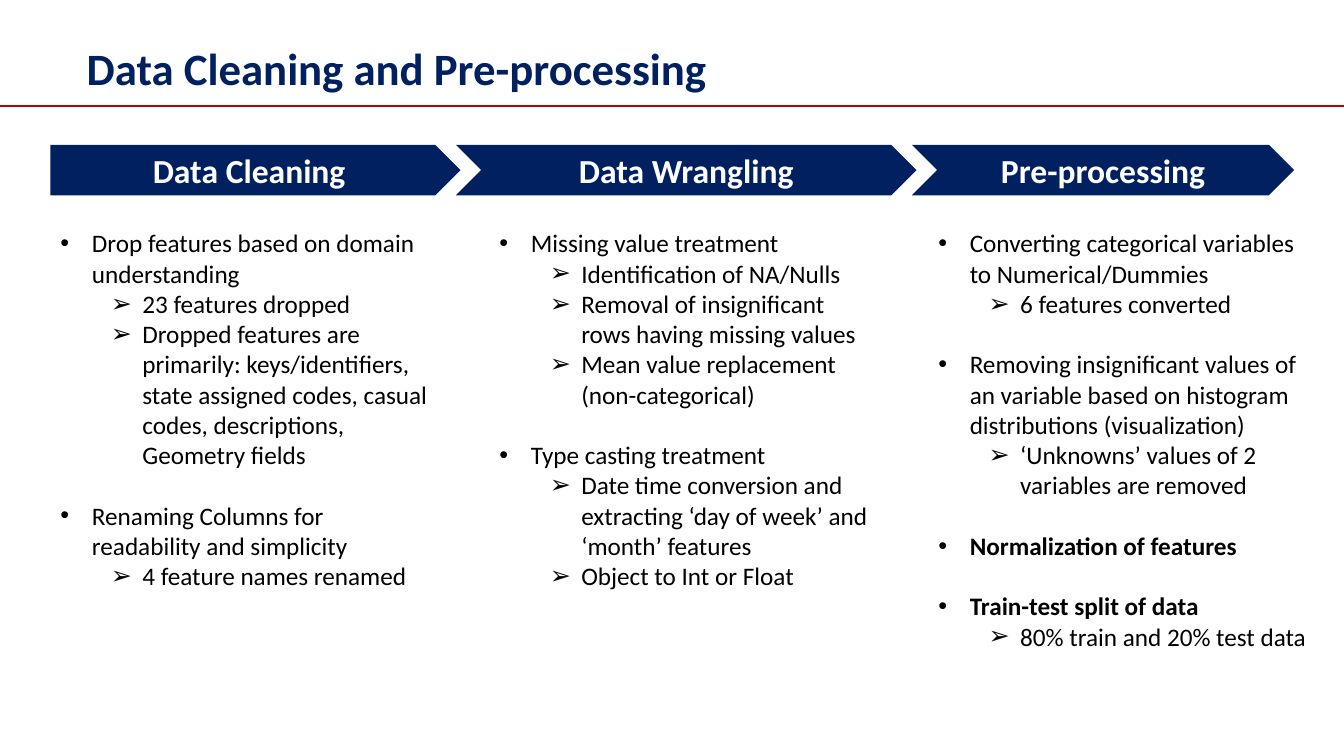
from dataclasses import dataclass

from lxml import etree
from pptx import Presentation
from pptx.dml.color import RGBColor
from pptx.enum.shapes import MSO_CONNECTOR, MSO_SHAPE
from pptx.enum.text import MSO_ANCHOR, MSO_AUTO_SIZE, PP_ALIGN
from pptx.oxml.ns import qn
from pptx.util import Pt


@dataclass(frozen=True)
class Theme:
    """Colours, font and type sizes of the slide."""
    navy: RGBColor = RGBColor(0x00, 0x20, 0x60)
    red: RGBColor = RGBColor(0xB9, 0x00, 0x07)
    white: RGBColor = RGBColor(0xFF, 0xFF, 0xFF)
    black: RGBColor = RGBColor(0x00, 0x00, 0x00)
    font: str = "Calibri"
    title: int = 32
    banner: int = 24
    body: int = 18


THEME = Theme()
SLIDE_WIDTH, SLIDE_HEIGHT = 960, 540
LEFT, LIST_TOP = 36, 159.1
COLUMN_PITCH, COLUMN_WIDTH = 313.5, 281.5
BANNER_TOP, BANNER_HEIGHT, BANNER_OVERLAP = 103.5, 36, 3.3
HANGING, LEVEL_STEP, TOPIC_GAP = 22.5, 36, 21.6
BULLETS = ("•", "➢")

# Each stage: name, banner shape, banner width, list height, placeholder index
# and topics. Each topic: heading, bold or not, and its details.
STAGES = [
    ("Data Cleaning", MSO_SHAPE.PENTAGON, 293, 269, 1, [
        ("Drop features based on domain understanding", False, [
            "23 features dropped",
            "Dropped features are primarily: keys/identifiers, state assigned "
            "codes, casual codes, descriptions, Geometry fields"]),
        ("Renaming Columns for readability and simplicity", False, [
            "4 feature names renamed"]),
    ]),
    ("Data Wrangling", MSO_SHAPE.CHEVRON, 329, 269, 2, [
        ("Missing value treatment", False, [
            "Identification of NA/Nulls",
            "Removal of insignificant rows having missing values",
            "Mean value replacement (non-categorical)"]),
        ("Type casting treatment", False, [
            "Date time conversion and extracting ‘day of week’ and ‘month’ features",
            "Object to Int or Float"]),
    ]),
    ("Pre-processing", MSO_SHAPE.CHEVRON, 273, 312.5, 4, [
        ("Converting categorical variables to Numerical/Dummies", False, [
            "6 features converted"]),
        ("Removing insignificant values of an variable based on histogram "
         "distributions (visualization)", False, [
             "‘Unknowns’ values of 2 variables are removed"]),
        ("Normalization of features", True, []),
        ("Train-test split of data", True, ["80% train and 20% test data"]),
    ]),
]


def place(shape, left, top, width, height):
    """Move and size a shape, in points."""
    shape.left, shape.top = Pt(left), Pt(top)
    shape.width, shape.height = Pt(width), Pt(height)


def write(paragraph, text, size, color, bold, align=PP_ALIGN.LEFT):
    """Put one formatted run into a paragraph."""
    paragraph.alignment = align
    paragraph.line_spacing = 1.0
    paragraph.space_before = paragraph.space_after = Pt(0)
    run = paragraph.add_run()
    run.text = text
    run.font.name, run.font.size, run.font.bold = THEME.font, Pt(size), bold
    run.font.color.rgb = color


def set_frame(frame, anchor):
    """Give a text frame wrapping, a fixed size and an anchor."""
    frame.word_wrap = True
    frame.auto_size = MSO_AUTO_SIZE.NONE
    frame.vertical_anchor = anchor


def add_title(slide, text):
    """Fill the title placeholder and draw the rule below it."""
    place(slide.shapes.title, 54.7, 25.2, 700, 46)
    frame = slide.shapes.title.text_frame
    set_frame(frame, MSO_ANCHOR.MIDDLE)
    write(frame.paragraphs[0], text, THEME.title, THEME.navy, True)
    rule = slide.shapes.add_connector(
        MSO_CONNECTOR.STRAIGHT, Pt(0), Pt(75.6), Pt(SLIDE_WIDTH), Pt(75.6))
    rule.line.color.rgb, rule.line.width = THEME.red, Pt(1.5)
    etree.SubElement(rule._element.spPr, qn("a:effectLst"))


def add_banner(slide, name, kind, left, width):
    """Draw one arrow-shaped stage banner."""
    banner = slide.shapes.add_shape(
        kind, Pt(left), Pt(BANNER_TOP), Pt(width), Pt(BANNER_HEIGHT))
    banner.shadow.inherit = False
    banner.fill.solid()
    banner.fill.fore_color.rgb = THEME.navy
    banner.line.fill.background()
    set_frame(banner.text_frame, MSO_ANCHOR.MIDDLE)
    write(banner.text_frame.paragraphs[0], name, THEME.banner, THEME.white,
          True, PP_ALIGN.CENTER)


def add_item(paragraph, text, level, bold=False, gap=0):
    """Write one bulleted list item with a hanging indent."""
    write(paragraph, text, THEME.body, THEME.black, bold)
    paragraph.level = level
    paragraph.space_before = Pt(gap)
    properties = paragraph._p.get_or_add_pPr()
    properties.set("marL", str(Pt(HANGING + level * LEVEL_STEP)))
    properties.set("indent", str(-Pt(HANGING)))
    etree.SubElement(properties, qn("a:buChar"), char=BULLETS[level])


def fill_list(placeholder, topics):
    """Write the topics and their details into a body placeholder."""
    frame = placeholder.text_frame
    set_frame(frame, MSO_ANCHOR.TOP)
    for number, (heading, bold, details) in enumerate(topics):
        first = number == 0
        paragraph = frame.paragraphs[0] if first else frame.add_paragraph()
        add_item(paragraph, heading, 0, bold, 0 if first else TOPIC_GAP)
        for detail in details:
            add_item(frame.add_paragraph(), detail, 1)


def main():
    """Build the slide and save it."""
    deck = Presentation()
    deck.slide_width, deck.slide_height = Pt(SLIDE_WIDTH), Pt(SLIDE_HEIGHT)
    slide = deck.slides.add_slide(deck.slide_layouts.get_by_name("Comparison"))
    bodies = {p.placeholder_format.idx: p for p in slide.placeholders}
    add_title(slide, "Data Cleaning and Pre-processing")

    banner_left = LEFT
    for column, (name, kind, width, height, idx, topics) in enumerate(STAGES):
        add_banner(slide, name, kind, banner_left, width)
        banner_left += width - BANNER_OVERLAP
        place(bodies[idx], LEFT + column * COLUMN_PITCH, LIST_TOP,
              COLUMN_WIDTH, height)
        fill_list(bodies[idx], topics)

    for placeholder in list(slide.placeholders):
        if not placeholder.text_frame.text:
            placeholder._element.getparent().remove(placeholder._element)
    deck.save("out.pptx")


if __name__ == "__main__":
    main()
